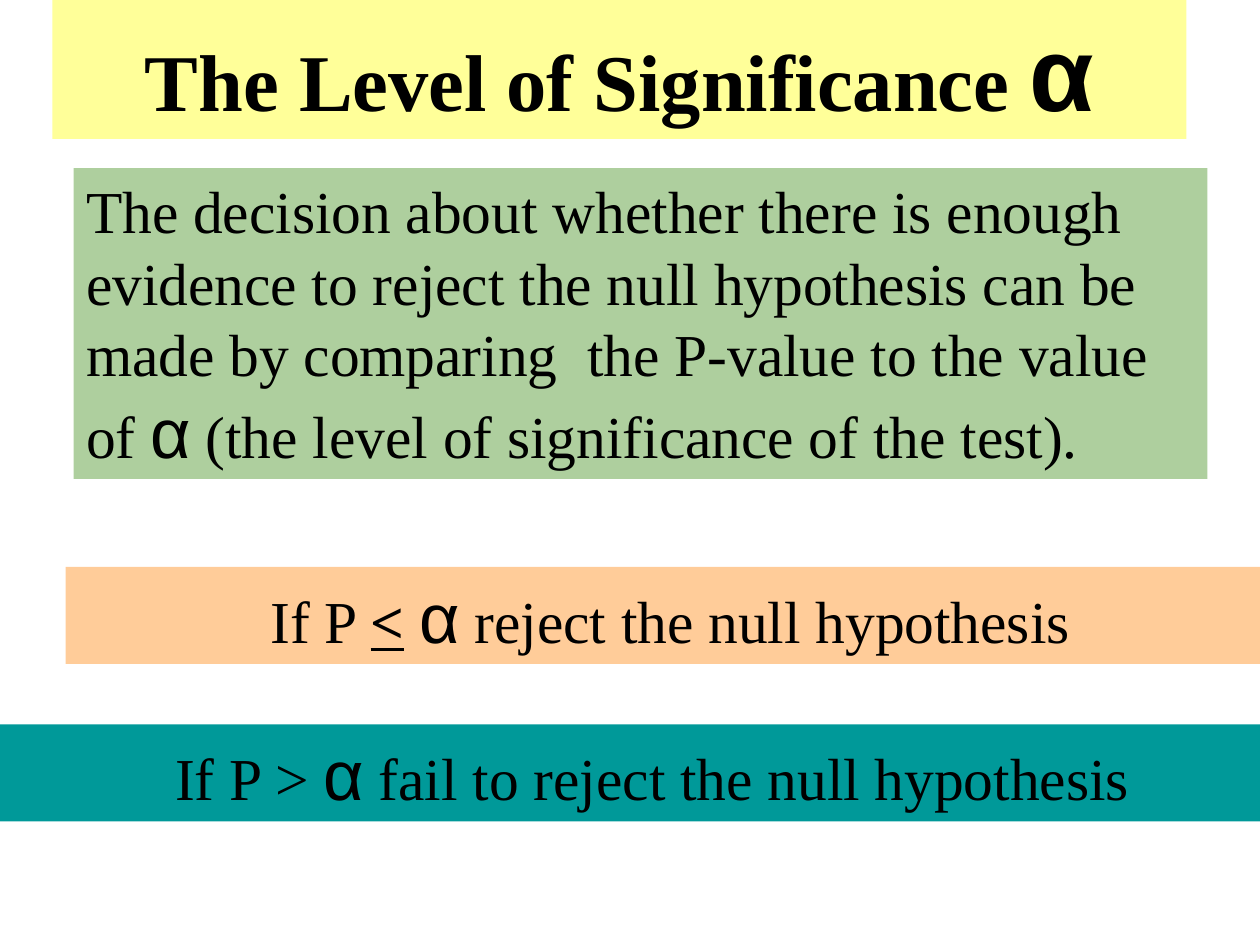
from dataclasses import dataclass
from pptx import Presentation
from pptx.dml.color import RGBColor
from pptx.enum.shapes import MSO_SHAPE
from pptx.enum.text import MSO_ANCHOR, MSO_AUTO_SIZE, PP_ALIGN
from pptx.oxml.xmlchemy import OxmlElement
from pptx.util import Pt


@dataclass(frozen=True)
class Theme:
    ink: str = "000000"
    title_fill: str = "FFFF99"
    body_fill: str = "AECF9E"
    reject_fill: str = "FFCC99"
    keep_fill: str = "009999"
    serif: str = "Times New Roman"
    greek: str = "Arial"
    title_size: int = 46
    title_greek_size: int = 60
    text_size: int = 34
    text_greek_size: int = 40


THEME = Theme()
PAGE_WIDTH, PAGE_HEIGHT = 720, 540
INSET_X, INSET_Y = 7.2, 3.6

TITLE = [["The Level of Significance ", "α"]]
EXPLANATION = [
    ["The decision about whether there is enough"],
    ["evidence to reject the null hypothesis can be"],
    ["made by comparing  the P-value to the value of ", "α",
     " (the level of significance of the test)."],
]
RULES = [
    {"spans": ["If P ", "<", " ", "α", " reject the null hypothesis"],
     "fill": THEME.reject_fill, "left": 37.5, "top": 324, "shift": 8.5},
    {"spans": ["If P > ", "α", " fail to reject the null hypothesis"],
     "fill": THEME.keep_fill, "left": 0, "top": 414, "shift": 25.5},
]
RULE_HEIGHT = 55.4


def place(box, left, top, width, height, fill):
    box.left, box.top = Pt(left), Pt(top)
    box.width, box.height = Pt(width), Pt(height)
    box.fill.solid()
    box.fill.fore_color.rgb = RGBColor.from_string(fill)
    box.line.fill.background()


def write(box, paragraphs, size, greek_size, align, bold=False, shift=0):
    frame = box.text_frame
    frame.word_wrap = True
    frame.auto_size = MSO_AUTO_SIZE.NONE
    frame.vertical_anchor = MSO_ANCHOR.TOP
    frame.margin_left, frame.margin_right = Pt(INSET_X + shift), Pt(INSET_X)
    frame.margin_top = frame.margin_bottom = Pt(INSET_Y)
    for index, spans in enumerate(paragraphs):
        para = frame.add_paragraph() if index else frame.paragraphs[0]
        para.alignment = align
        para.space_before = Pt(0)
        for text in spans:
            span = para.add_run()
            span.text = text
            is_greek = text == "α"
            is_marked = text == "<"
            span.font.name = THEME.greek if is_greek else THEME.serif
            span.font.size = Pt(greek_size if is_greek else size)
            span.font.bold = bold or is_marked
            span.font.underline = is_marked
            span.font.color.rgb = RGBColor.from_string(THEME.ink)


def remove_bullets(box):
    for para in box.text_frame.paragraphs:
        properties = para._p.get_or_add_pPr()
        properties.set("marL", "0")
        properties.set("indent", "0")
        properties.append(OxmlElement("a:buNone"))


def main():
    deck = Presentation()
    deck.slide_width, deck.slide_height = Pt(PAGE_WIDTH), Pt(PAGE_HEIGHT)
    page = deck.slides.add_slide(deck.slide_layouts[1])

    title = page.shapes.title
    place(title, 30, 0, 648, 79.4, THEME.title_fill)
    write(title, TITLE, THEME.title_size, THEME.title_greek_size,
          PP_ALIGN.CENTER, bold=True)

    body = page.placeholders[1]
    place(body, 42, 96, 648, 177.6, THEME.body_fill)
    write(body, EXPLANATION, THEME.text_size, THEME.text_greek_size, PP_ALIGN.LEFT)
    remove_bullets(body)

    for rule in RULES:
        band = page.shapes.add_shape(MSO_SHAPE.RECTANGLE, 0, 0, 0, 0)
        band.shadow.inherit = False
        place(band, rule["left"], rule["top"], PAGE_WIDTH - rule["left"],
              RULE_HEIGHT, rule["fill"])
        write(band, [rule["spans"]], THEME.text_size, THEME.text_greek_size,
              PP_ALIGN.CENTER, shift=rule["shift"])

    deck.save("out.pptx")


if __name__ == "__main__":
    main()
